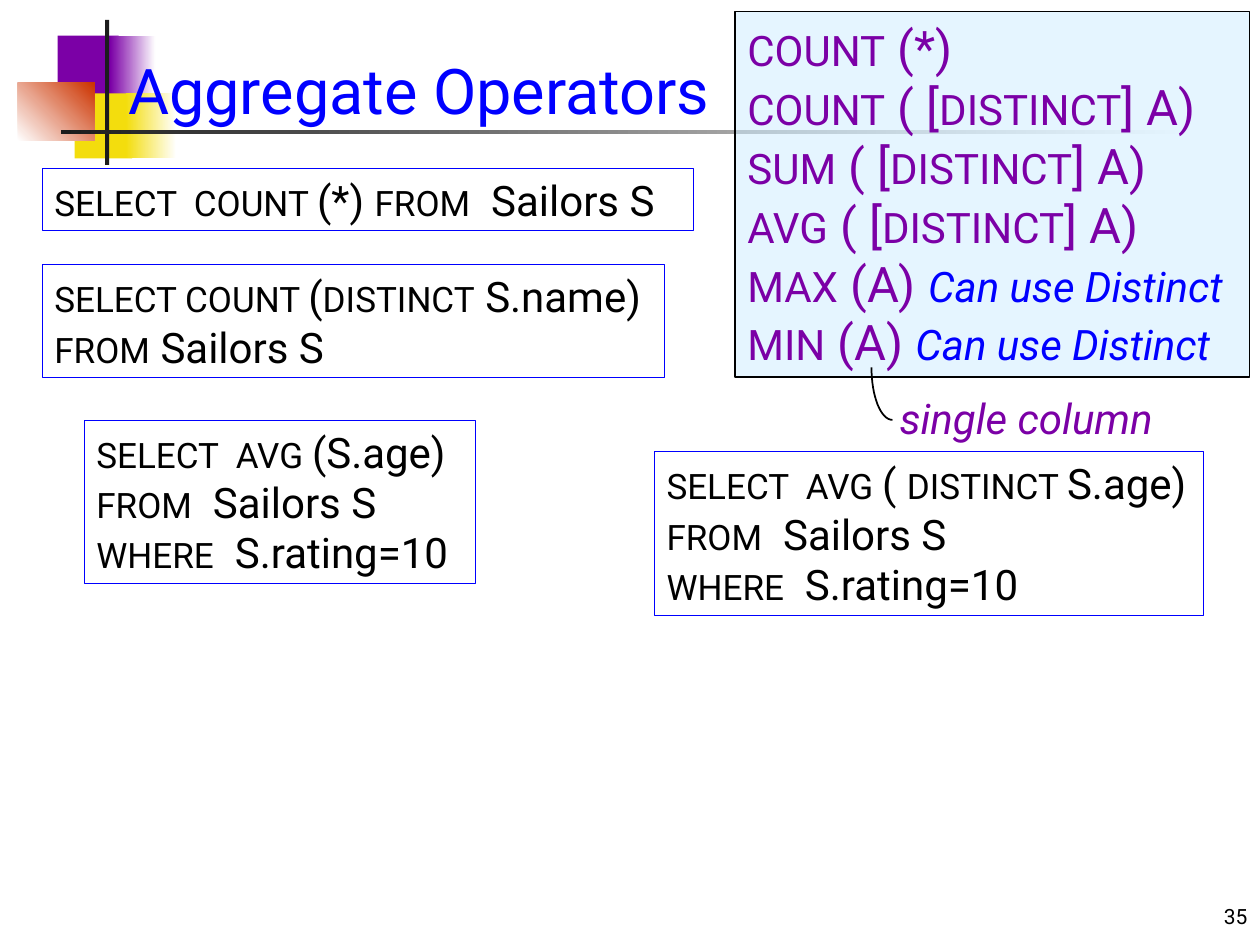
from dataclasses import dataclass
from math import cos, pi, sin

from lxml.etree import SubElement
from pptx import Presentation
from pptx.dml.color import RGBColor as Rgb
from pptx.enum.shapes import MSO_SHAPE as Shape
from pptx.enum.text import MSO_ANCHOR as Anchor, MSO_AUTO_SIZE as AutoSize, PP_ALIGN as Align
from pptx.oxml.ns import qn
from pptx.util import Inches, Pt


@dataclass(frozen=True)
class Theme:
    font: str = "Roboto"
    black: str = "000000"
    blue: str = "0000FF"
    purple: str = "7B00A6"
    yellow: str = "F3DD0D"
    red: str = "CC3300"
    bar: str = "1C1C1C"
    white: str = "FFFFFF"
    panel: str = "CCECFF"
    title: int = 36
    large: int = 28
    normal: int = 24
    keyword: int = 20
    number: int = 12


THEME = Theme()

# Text styles: size, colour, italic
TITLE = (THEME.title, THEME.blue, False)
NUMBER = (THEME.number, THEME.black, False)
KEYWORD = (THEME.keyword, THEME.black, False)
CODE = (THEME.normal, THEME.black, False)
OPERATOR = (THEME.normal, THEME.purple, False)
ARGUMENT = (THEME.large, THEME.purple, False)
REMARK = (THEME.normal, THEME.blue, True)
CALLOUT = (THEME.normal, THEME.purple, True)


def grid(*cells):
    """Turn grid cells (120 columns by 90 rows, 12 to the inch) into lengths."""
    return [Inches(cell / 12) for cell in cells]


def write(shape, lines, anchor=Anchor.TOP, align=Align.LEFT, wrap=True, grow=True):
    """Fill a shape with paragraphs, each a list of (style, text) spans."""
    frame = shape.text_frame
    frame.word_wrap = wrap
    frame.auto_size = AutoSize.SHAPE_TO_FIT_TEXT if grow else AutoSize.NONE
    frame.vertical_anchor = anchor
    for index, spans in enumerate(lines):
        para = frame.paragraphs[0] if index == 0 else frame.add_paragraph()
        para.alignment = align
        for (size, color, italic), text in spans:
            span = para.add_run()
            span.text = text
            font = span.font
            font.name, font.size, font.italic = THEME.font, Pt(size), italic
            font.color.rgb = Rgb.from_string(color)


def add_block(page, cells, color, fade_to=None, angle=0):
    """Add a borderless rectangle, plain or fading into a second colour."""
    block = page.shapes.add_shape(Shape.RECTANGLE, *grid(*cells))
    block.shadow.inherit = False
    block.line.fill.background()
    if fade_to:
        block.fill.gradient()
        block.fill.gradient_angle = angle
        for stop, shade in zip(block.fill.gradient_stops, (color, fade_to)):
            stop.color.rgb = Rgb.from_string(shade)
    else:
        block.fill.solid()
        block.fill.fore_color.rgb = Rgb.from_string(color)


def add_box(page, cells, lines, border=THEME.blue, width=0.5, wrap=False):
    """Add an unfilled, outlined box with text."""
    box = page.shapes.add_shape(Shape.RECTANGLE, *grid(*cells))
    box.shadow.inherit = False
    box.fill.background()
    box.line.color.rgb = Rgb.from_string(border)
    box.line.width = Pt(width)
    write(box, lines, wrap=wrap)
    return box


def add_label(page, cells, spans, **options):
    write(page.shapes.add_textbox(*grid(*cells)), [spans], **options)


def add_curve(page, center, radii, steps=16):
    """Add the lower left quarter of an ellipse as an open line."""
    angles = [pi - pi / 2 * step / steps for step in range(steps + 1)]
    points = [
        tuple(grid(center[0] + radii[0] * cos(a), center[1] + radii[1] * sin(a)))
        for a in angles
    ]
    builder = page.shapes.build_freeform(*points[0], scale=1.0)
    builder.add_line_segments(points[1:], close=False)
    curve = builder.convert_to_shape()
    curve.shadow.inherit = False
    curve.fill.background()
    curve.line.color.rgb = Rgb.from_string(THEME.black)
    curve.line.width = Pt(1)


def add_decoration(page):
    add_block(page, (5.5, 3.4, 5.8, 6.2), THEME.purple)
    add_block(page, (10.5, 3.4, 4.3, 6.2), THEME.purple, THEME.white)
    add_block(page, (7.1, 8.9, 5.5, 6.2), THEME.yellow)
    add_block(page, (12, 8.9, 4.8, 6.2), THEME.yellow, THEME.white)
    add_block(page, (1.7, 7.9, 7.3, 5.5), THEME.white, THEME.red, angle=45)
    add_block(page, (10, 1.9, 0.4, 13.8), THEME.bar)
    add_block(page, (5.8, 12.4, 108, 0.4), THEME.bar, THEME.white)


def place_title(page, cells, text):
    title = page.shapes.title
    title.left, title.top, title.width, title.height = grid(*cells)
    write(title, [[(TITLE, text)]], anchor=Anchor.MIDDLE, grow=False)
    # Bring the title in front of the decoration
    page.shapes._spTree.append(title._element)


def add_operator_panel(page, cells):
    lines = [[(OPERATOR, "COUNT"), (ARGUMENT, " (*)")]]
    for name in ("COUNT", "SUM", "AVG"):
        lines.append([(OPERATOR, name), (ARGUMENT, " ( ["),
                      (OPERATOR, "DISTINCT"), (ARGUMENT, "] A)")])
    for name in ("MAX", "MIN"):
        lines.append([(OPERATOR, name), (ARGUMENT, " (A) "),
                      (REMARK, "Can use Distinct")])
    panel = add_box(page, cells, lines, border=THEME.black, width=1, wrap=True)
    panel.fill.solid()
    panel.fill.fore_color.rgb = Rgb.from_string(THEME.panel)
    color = panel._element.spPr.find(qn("a:solidFill"))[0]
    SubElement(color, qn("a:alpha")).set("val", "50000")


def add_queries(page):
    source = [(KEYWORD, "FROM"), (CODE, "  Sailors S")]
    rating = [(KEYWORD, "WHERE"), (CODE, "  S.rating=10")]
    average = (KEYWORD, "SELECT  AVG ")
    add_box(page, (8, 40, 37.3, 15.6),
            [[average, (CODE, "(S.age)")], source, rating])
    add_box(page, (4, 16, 62, 6),
            [[(KEYWORD, "SELECT  COUNT "), (CODE, "(*) "), *source]], wrap=True)
    add_box(page, (62.3, 43, 52.3, 15.6),
            [[average, (CODE, "( "), (KEYWORD, "DISTINCT "), (CODE, "S.age)")],
             source, rating])
    add_box(page, (4, 25.2, 59.3, 10.8),
            [[(KEYWORD, "SELECT COUNT "), (CODE, "("),
              (KEYWORD, "DISTINCT"), (CODE, " S.name)")],
             [(KEYWORD, "FROM"), (CODE, " Sailors S")]])


def main():
    deck = Presentation()
    deck.slide_width, deck.slide_height = grid(120, 90)
    page = deck.slides.add_slide(deck.slide_layouts[5])

    # Background marks, page number and title
    add_decoration(page)
    add_label(page, (95, 83, 25, 6), [(NUMBER, "35")],
              anchor=Anchor.BOTTOM, align=Align.RIGHT, grow=False)
    place_title(page, (11, 1, 106, 15), "Aggregate Operators")

    # Operators and example queries
    add_operator_panel(page, (70, 1.1, 49, 34.8))
    add_queries(page)

    # Callout for the column argument
    add_label(page, (84.5, 36.8, 27.1, 6), [(CALLOUT, "single column")], wrap=False)
    add_curve(page, center=(85, 35), radii=(2, 5))

    deck.save("out.pptx")


if __name__ == "__main__":
    main()
